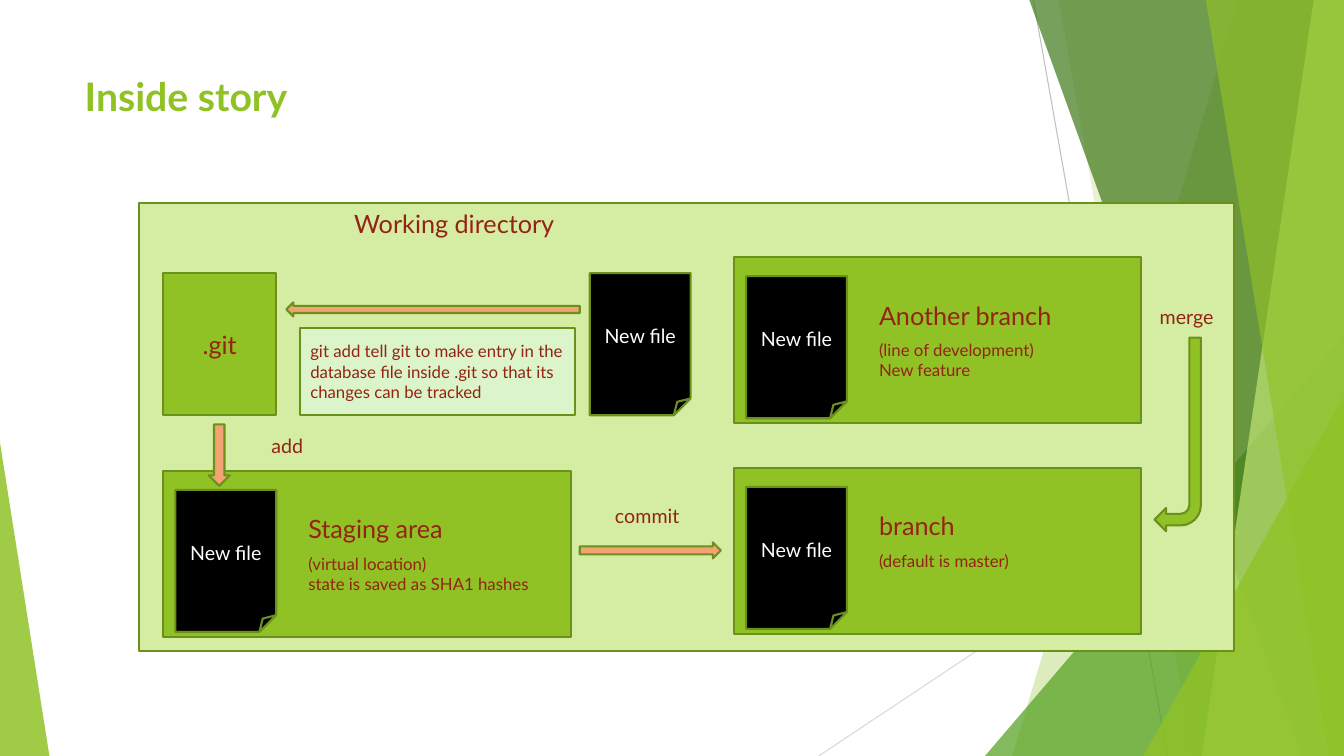
from dataclasses import dataclass

from lxml import etree
from pptx import Presentation
from pptx.dml.color import RGBColor
from pptx.enum.shapes import MSO_CONNECTOR, MSO_SHAPE
from pptx.enum.text import MSO_ANCHOR, PP_ALIGN
from pptx.oxml.ns import qn
from pptx.util import Inches, Pt

RECTANGLE, TRIANGLE = MSO_SHAPE.RECTANGLE, MSO_SHAPE.ISOSCELES_TRIANGLE
FOLDED_CORNER = MSO_SHAPE.FOLDED_CORNER
LEFT_ARROW, BENT_ARROW = MSO_SHAPE.LEFT_ARROW, MSO_SHAPE.BENT_ARROW
STRAIGHT = MSO_CONNECTOR.STRAIGHT
TOP, MIDDLE = MSO_ANCHOR.TOP, MSO_ANCHOR.MIDDLE
LEFT, CENTER = PP_ALIGN.LEFT, PP_ALIGN.CENTER

GREEN = RGBColor(0x90, 0xC2, 0x26)
MID_GREEN = RGBColor(0x54, 0xA0, 0x21)
DARK_GREEN = RGBColor(0x3F, 0x78, 0x19)
LIME = RGBColor(0xC0, 0xE4, 0x74)
OUTLINE = RGBColor(0x6B, 0x90, 0x1C)
PALE_GREEN = RGBColor(0xD5, 0xED, 0xA2)
NOTE_GREEN = RGBColor(0xDB, 0xF4, 0xCA)
ORANGE = RGBColor(0xF1, 0xA3, 0x74)
RED = RGBColor(0x93, 0x23, 0x13)
BLACK = RGBColor(0, 0, 0)
WHITE = RGBColor(0xFF, 0xFF, 0xFF)
GRAY = RGBColor(0xBF, 0xBF, 0xBF)
LIGHT_GRAY = RGBColor(0xD9, 0xD9, 0xD9)
FONT = "Lato"


@dataclass
class Box:
    """A rectangle in EMU whose inner boxes are given in percent of its size."""
    left: int
    top: int
    width: int
    height: int

    def point(self, x, y):
        """Return the position at a percent across and down the box."""
        return (int(self.left + self.width * x / 100),
                int(self.top + self.height * y / 100))

    def inner(self, x, y, width, height):
        """Return a smaller box inside this one."""
        return Box(*self.point(x, y), int(self.width * width / 100),
                   int(self.height * height / 100))

    def frame(self):
        """Return left, top, width and height."""
        return self.left, self.top, self.width, self.height


def write(shape, lines, color=RED, align=CENTER, anchor=MIDDLE, bold=False):
    """Fill a shape with (text, size) lines, one paragraph each."""
    frame = shape.text_frame
    frame.word_wrap = True
    frame.vertical_anchor = anchor
    for index, (text, size) in enumerate(lines):
        para = frame.paragraphs[0] if index == 0 else frame.add_paragraph()
        para.alignment = align
        span = para.add_run()
        span.text = text
        span.font.name, span.font.size = FONT, Pt(size)
        span.font.bold = bold
        span.font.color.rgb = color


def add_figure(page, kind, box, fill, rotation=0):
    """Add an outlined preset shape."""
    shape = page.shapes.add_shape(kind, *box.frame())
    shape.shadow.inherit = False
    shape.rotation = rotation
    shape.fill.solid()
    shape.fill.fore_color.rgb = fill
    shape.line.color.rgb = OUTLINE
    shape.line.width = Pt(1.5)
    return shape


def add_label(page, box, text, size=14):
    """Add a centred caption."""
    write(page.shapes.add_textbox(*box.frame()), [(text, size)])


def add_file(page, box):
    """Add the black sheet that stands for the new file."""
    write(add_figure(page, FOLDED_CORNER, box, BLACK), [("New file", 14)], WHITE)


def add_area(page, box, heading, *details):
    """Add a green area with a file at left and its heading and details."""
    area = add_figure(page, RECTANGLE, box, GREEN)
    write(area, [(heading, 18)] + [(text, 12) for text in details], align=LEFT)
    frame = area.text_frame
    frame.margin_left = int(box.width * 0.356)
    frame.paragraphs[1].space_before = Pt(7)
    if len(details) == 1:
        frame.margin_bottom = int(box.height * 0.15)
    add_file(page, box.inner(2.97, 11.5, 24.75, 85.45))


def make_glass(shape, color, alpha):
    """Give a shape a see-through fill and no line."""
    shape.shadow.inherit = False
    shape.fill.solid()
    shape.fill.fore_color.rgb = color
    tone = shape._element.spPr.find(qn("a:solidFill"))[0]
    etree.SubElement(tone, qn("a:alpha"), val=str(alpha * 1000))
    shape.line.fill.background()


def add_slab(page, box, top, bottom, color, alpha):
    """Add a full-height band from a slanted edge to the right side."""
    builder = page.shapes.build_freeform(*box.point(top, 0), scale=1.0)
    corners = [(100, 0), (100, 100), (bottom, 100)]
    builder.add_line_segments([box.point(*corner) for corner in corners])
    make_glass(builder.convert_to_shape(), color, alpha)


def add_wedge(page, box, apex, color, alpha):
    """Add a triangle whose apex lies at a share of its width."""
    shape = page.shapes.add_shape(TRIANGLE, *box.frame())
    shape.adjustments[0] = apex
    make_glass(shape, color, alpha)


def add_backdrop(page, box):
    """Place the facets and hairlines behind the content."""
    for start, end, color in [((76.89, 0), (86.87, 100), GRAY),
                              ((100, 53.73), (60.92, 100), LIGHT_GRAY)]:
        line = page.shapes.add_connector(STRAIGHT, *box.point(*start),
                                         *box.point(*end))
        line.line.color.rgb = color
        line.line.width = Pt(0.75)
        etree.SubElement(line._element.spPr, qn("a:effectLst"))
    add_slab(page, box, 92.12, 75.32, GREEN, 30)
    add_slab(page, box, 78.77, 88.75, GREEN, 20)
    add_wedge(page, box.inner(73.29, 44.4, 26.71, 55.6), 1, MID_GREEN, 72)
    for top, bottom, color, alpha in [(76.59, 96.85, DARK_GREEN, 70),
                                      (97.75, 89.42, LIME, 70),
                                      (89.72, 98.87, GREEN, 65)]:
        add_slab(page, box, top, bottom, color, alpha)
    add_wedge(page, box.inner(85.07, 52.4, 14.93, 47.6), 1, GREEN, 80)
    add_wedge(page, box.inner(0, 58.53, 3.68, 41.47), 0, GREEN, 85)


def add_title(page, box, text):
    """Move and format the title placeholder."""
    title = page.shapes.title
    title.left, title.top, title.width, title.height = box.frame()
    write(title, [(text, 28)], GREEN, LEFT, TOP, True)


def add_working_directory(page, box):
    """Draw the working directory with its areas and the steps between."""
    add_figure(page, RECTANGLE, box, PALE_GREEN)
    add_label(page, box.inner(16.39, 0.45, 24.77, 8.31), "Working directory", 18)
    git = add_figure(page, RECTANGLE, box.inner(2.21, 15.73, 10.31, 31.69), GREEN)
    write(git, [(".git", 18)])
    add_file(page, box.inner(41.16, 15.73, 9.21, 31.69))
    note = add_figure(page, RECTANGLE, box.inner(14.73, 27.87, 25.05, 19.55),
                      NOTE_GREEN)
    write(note, [("git add tell git to make entry in the database file inside "
                  ".git so that its changes can be tracked", 12)], align=LEFT)

    for left, top, *words in [
            (2.21, 59.78, "Staging area", "(virtual location)",
             "state is saved as SHA1 hashes"),
            (54.33, 59.1, "branch", "(default is master)"),
            (54.33, 12.13, "Another branch", "(line of development)",
             "New feature")]:
        add_area(page, box.inner(left, top, 37.2, 37.08), *words)

    for place, rotation in [((13.44, 22.25, 26.8, 3.15), 0),
                            ((4.51, 53.93, 5.62, 4.72), 270),
                            ((40.24, 75.73, 12.89, 3.6), 180)]:
        add_figure(page, LEFT_ARROW, box.inner(*place), ORANGE, rotation)
    add_figure(page, BENT_ARROW, box.inner(92.73, 30.11, 4.24, 43.15), GREEN, 180)

    for left, top, step in [(41.16, 66.52, "commit"), (8.29, 50.79, "add"),
                            (90.42, 22.02, "merge")]:
        add_label(page, box.inner(left, top, 10.5, 6.74), step)


def build_deck():
    """Build and save the one-slide deck."""
    deck = Presentation()
    deck.slide_width, deck.slide_height = Inches(13.33), Inches(7.5)
    page = deck.slides.add_slide(deck.slide_layouts[5])
    whole = Box(0, 0, deck.slide_width, deck.slide_height)
    add_backdrop(page, whole)
    add_title(page, whole.inner(5.55, 8.93, 70.52, 19.2), "Inside story")
    add_working_directory(page, whole.inner(10.35, 26.8, 81.47, 59.33))
    deck.save("out.pptx")


build_deck()
